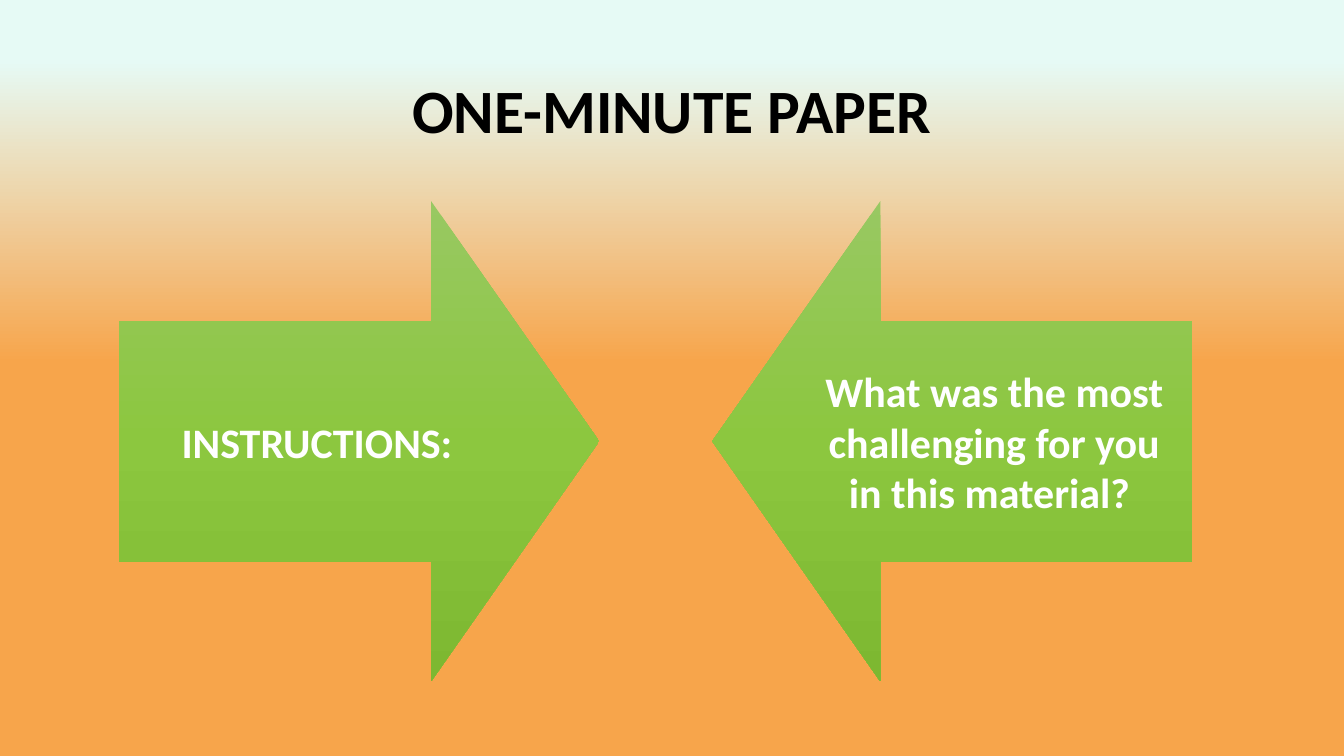
"""Build the one-minute paper slide with two facing arrows."""
from lxml import etree
from pptx import Presentation
from pptx.dml.color import RGBColor
from pptx.enum import shapes, text
from pptx.oxml import ns
from pptx.util import Cm, Pt

HUES = {"mint": "E6FAF5", "orange": "F7A54B", "light": "98C862", "green": "8CC73F",
        "dark": "7DB831", "black": "000000", "white": "FFFFFF"}


def paint(fill, node, stops):
    """Fill from top to bottom with the given (percent, hue) stops."""
    fill.gradient()
    fill.gradient_angle = 270
    track = node.xpath(".//a:gsLst")[0]
    track.clear()
    for pos, hue in stops:
        stop = etree.SubElement(track, ns.qn("a:gs"), pos=str(pos * 1000))
        etree.SubElement(stop, ns.qn("a:srgbClr"), val=HUES[hue])


def style(par, size, hue):
    """Centre a paragraph and set its bold font."""
    par.alignment = text.PP_ALIGN.CENTER
    par.font.name = "Calibri"
    par.font.size = Pt(size)
    par.font.bold = True
    par.font.color.rgb = RGBColor.from_string(HUES[hue])


deck = Presentation()
deck.slide_width, deck.slide_height = Cm(33.87), Cm(19.05)
slide = deck.slides.add_slide(deck.slide_layouts[5])
paint(slide.background.fill, slide.element, [(8, "mint"), (48, "orange"), (100, "orange")])

title = slide.shapes.title
title.left, title.top, title.width, title.height = Cm(2.33), Cm(1.02), Cm(29.21), Cm(3.68)
title.text_frame.text = "ONE-MINUTE PAPER"
title.text_frame.vertical_anchor = text.MSO_ANCHOR.MIDDLE
head = title.text_frame.paragraphs[0]
head.line_spacing = 0.9
style(head, 44, "black")

side = Cm(12.1)
arrows = [
    (shapes.MSO_SHAPE.RIGHT_ARROW, 3, "INSTRUCTIONS:"),
    (shapes.MSO_SHAPE.LEFT_ARROW, 17.95, "What was the most challenging for you in this material? "),
]
for kind, left, words in arrows:
    arrow = slide.shapes.add_shape(kind, Cm(left), Cm(5.07), side, side)
    arrow.adjustments[0], arrow.adjustments[1] = 0.5, 0.35
    arrow.shadow.inherit = False
    arrow.line.fill.background()
    paint(arrow.fill, arrow.element, [(0, "light"), (50, "green"), (100, "dark")])
    frame = arrow.text_frame
    frame.word_wrap = True
    frame.vertical_anchor = text.MSO_ANCHOR.MIDDLE
    frame.margin_left = frame.margin_right = frame.margin_top = frame.margin_bottom = Cm(0.58)
    frame.text = words
    style(frame.paragraphs[0], 30, "white")

deck.save("out.pptx")
